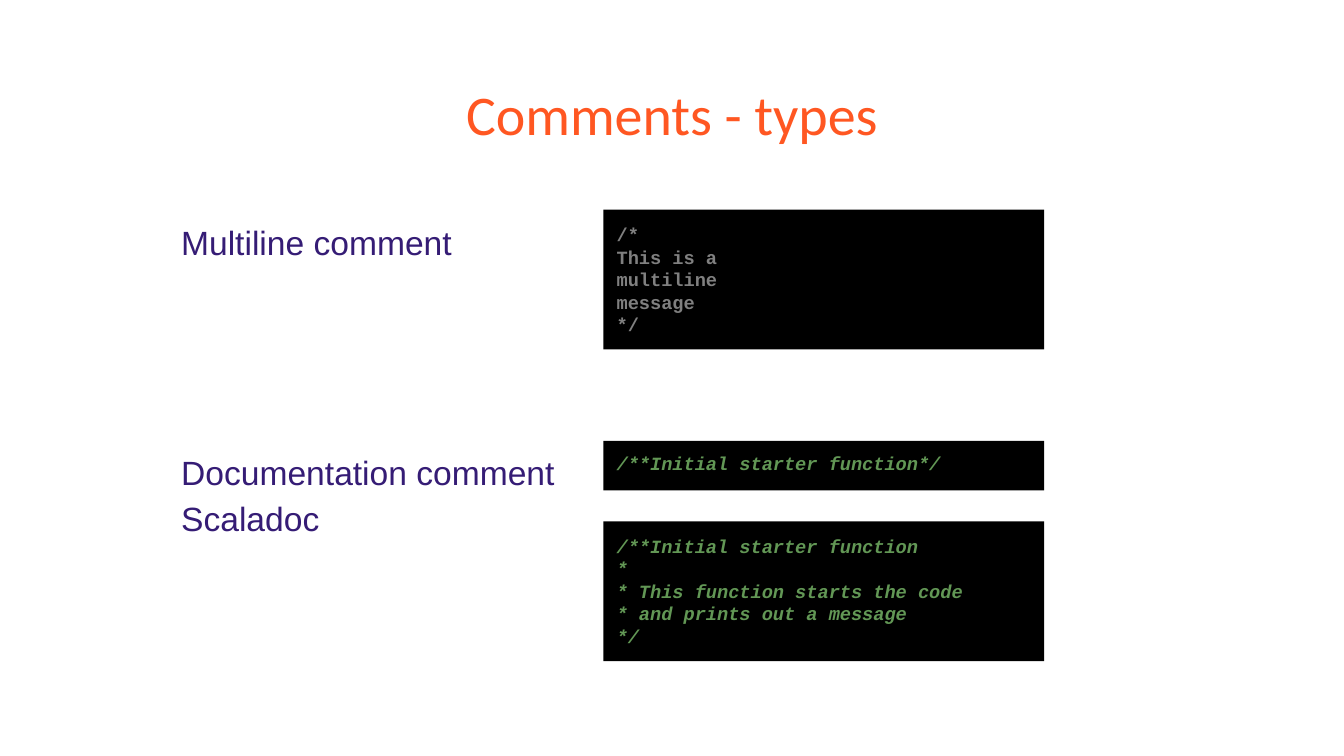
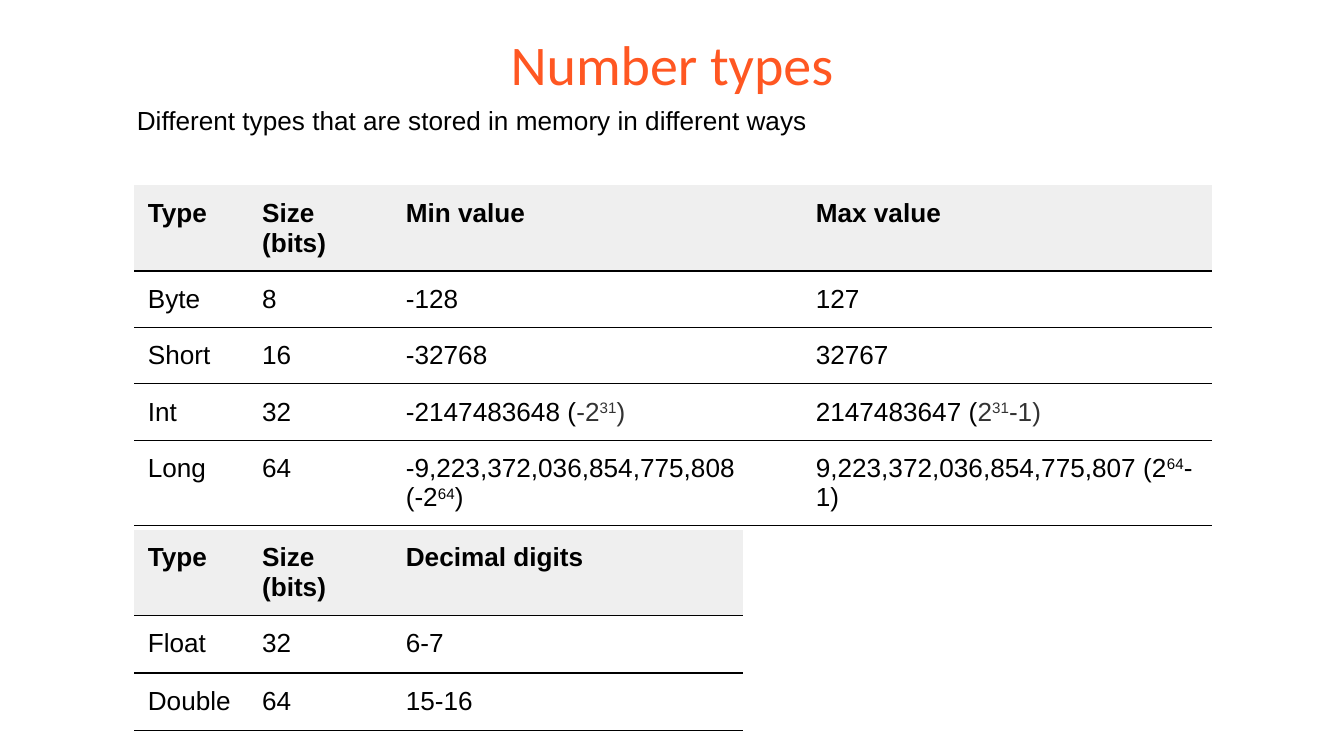
from lxml.etree import SubElement
from pptx import Presentation
from pptx.dml.color import RGBColor
from pptx.enum.shapes import MSO_SHAPE as SHAPE
from pptx.enum.text import MSO_ANCHOR as ANCHOR, MSO_AUTO_SIZE as AUTO, PP_ALIGN as ALIGN
from pptx.oxml import parse_xml
from pptx.oxml.ns import nsdecls, qn
from pptx.util import Inches, Pt

ORANGE, PURPLE, BLACK, DARK_GRAY = "FF5722", "351C75", "000000", "333333"
HEADER_FILL, COMMENT_GRAY, DOC_GREEN = "EFEFEF", "808080", "629755"
PLAIN_TABLE = "{2D5ABB26-0587-4C30-8999-92F81FD0307C}"
INSET = 0.1

NUMBER_ROWS = [
    ["Type", "Size (bits)", "Min value", "Max value"],
    ["Byte", "8", "-128", "127"],
    ["Short", "16", "-32768", "32767"],
    ["Int", "32", "-2147483648 (|-2^31^)", "2147483647 (|2^31^-1)"],
    ["Long", "64", "-9,223,372,036,854,775,808 (-2^64^)",
     "9,223,372,036,854,775,807 (2^64^-1)"],
]
DECIMAL_ROWS = [
    ["Type", "Size (bits)", "Decimal digits"],
    ["Float", "32", "6-7"],
    ["Double", "64", "15-16"],
]
MULTILINE_CODE = ["/*", "This is a", "multiline", "message", "*/"]
SHORT_DOC_CODE = ["/**Initial starter function*/"]
LONG_DOC_CODE = ["/**Initial starter function", "*", "* This function starts the code",
                 "* and prints out a message", "*/"]


def rgb(color):
    return RGBColor.from_string(color)


def add_run(paragraph, text, size, color, font="Arial", bold=False, italic=False):
    run = paragraph.add_run()
    run.text = text
    run.font.name, run.font.size = font, Pt(size)
    run.font.bold, run.font.italic = bold, italic
    run.font.color.rgb = rgb(color)
    return run


def set_insets(target, top=INSET, bottom=INSET):
    target.margin_left = target.margin_right = Inches(INSET)
    target.margin_top, target.margin_bottom = Inches(top), Inches(bottom)


def add_frame(slide, box, upright=INSET):
    frame = slide.shapes.add_textbox(*map(Inches, box)).text_frame
    frame.word_wrap = True
    set_insets(frame, upright, upright)
    return frame


def add_title(slide, top, title):
    heading = add_frame(slide, (0.34, top, 9.32, 0.63)).paragraphs[0]
    heading.alignment = ALIGN.CENTER
    add_run(heading, title, 30, ORANGE, "Calibri")


def add_comment_labels(slide, box, labels, gap):
    """Stack the labels with a gap in points; a label may have several lines."""
    frame = add_frame(slide, box)
    for index, lines in enumerate(labels):
        label = frame.add_paragraph() if index else frame.paragraphs[0]
        label.line_spacing = 1.15
        if index:
            label.space_before = Pt(gap)
        for line_index, line in enumerate(lines):
            if line_index:
                label.add_line_break()
            add_run(label, line, 18, PURPLE)


def add_code(slide, top, height, lines, color, italic=False):
    panel = slide.shapes.add_shape(SHAPE.RECTANGLE, *map(Inches, (4.49, top, 3.28, height)))
    panel.shadow.inherit = False
    panel.fill.solid()
    panel.fill.fore_color.rgb = rgb(BLACK)
    panel.line.fill.background()
    frame = panel.text_frame
    frame.word_wrap = True
    frame.auto_size = AUTO.SHAPE_TO_FIT_TEXT
    frame.vertical_anchor = ANCHOR.TOP
    set_insets(frame)
    for index, line in enumerate(lines):
        paragraph = frame.add_paragraph() if index else frame.paragraphs[0]
        paragraph.alignment = ALIGN.LEFT
        add_run(paragraph, line, 10, color, "Courier New", True, italic)


def underline_cell(cell):
    rule = parse_xml(f'<a:lnB {nsdecls("a")} w="{Pt(0.75)}"/>')
    SubElement(SubElement(rule, qn("a:solidFill")), qn("a:srgbClr")).set("val", BLACK)
    cell._tc.get_or_add_tcPr().insert(0, rule)


def fill_cell(cell, text, header):
    """Write a cell; text after | is gray, text between ^ marks is superscript."""
    set_insets(cell, bottom=0.07)
    if header:
        cell.fill.solid()
        cell.fill.fore_color.rgb = rgb(HEADER_FILL)
    else:
        cell.fill.background()
    underline_cell(cell)
    paragraph = cell.text_frame.paragraphs[0]
    for part, color in zip(text.split("|"), (BLACK, DARK_GRAY)):
        for index, piece in enumerate(part.split("^")):
            run = add_run(paragraph, piece, 14, color, bold=header)
            if index % 2:
                run._r.get_or_add_rPr().set("baseline", "30000")


def add_type_table(slide, top, widths, row_height, rows):
    box = (1, top, sum(widths), row_height * len(rows))
    table = slide.shapes.add_table(len(rows), len(widths), *map(Inches, box)).table
    table._tbl.tblPr.find(qn("a:tableStyleId")).text = PLAIN_TABLE
    table.first_row = table.horz_banding = False
    for column, width in zip(table.columns, widths):
        column.width = Inches(width)
    for row_index, row in enumerate(rows):
        table.rows[row_index].height = Inches(row_height)
        for column_index, text in enumerate(row):
            fill_cell(table.cell(row_index, column_index), text, row_index == 0)


def add_summary(slide, box, text):
    add_run(add_frame(slide, box, upright=0.05).paragraphs[0], text, 14, BLACK)


def build_comments(slide):
    add_title(slide, 0.49, "Comments - types")
    add_comment_labels(slide, (1.25, 1.51, 8, 3.74),
                       [["Multiline comment"], ["Documentation comment", "Scaladoc"]], 98)
    add_code(slide, 1.56, 1.04, MULTILINE_CODE, COMMENT_GRAY)
    add_code(slide, 3.28, 0.37, SHORT_DOC_CODE, DOC_GREEN, italic=True)
    add_code(slide, 3.88, 1.04, LONG_DOC_CODE, DOC_GREEN, italic=True)


def build_number_types(slide):
    add_title(slide, 0.12, "Number types")
    add_type_table(slide, 1.38, (0.85, 1.07, 3.05, 3.05), 0.42, NUMBER_ROWS)
    add_type_table(slide, 3.94, (0.85, 1.07, 2.61), 0.43, DECIMAL_ROWS)
    add_summary(slide, (0.92, 0.73, 6.87, 0.34),
                "Different types that are stored in memory in different ways")


def main():
    deck = Presentation()
    deck.slide_width = Inches(10)
    deck.slide_height = deck.slide_width * 9 // 16
    for build in (build_comments, build_number_types):
        build(deck.slides.add_slide(deck.slide_layouts[6]))
    deck.save("out.pptx")


if __name__ == "__main__":
    main()
